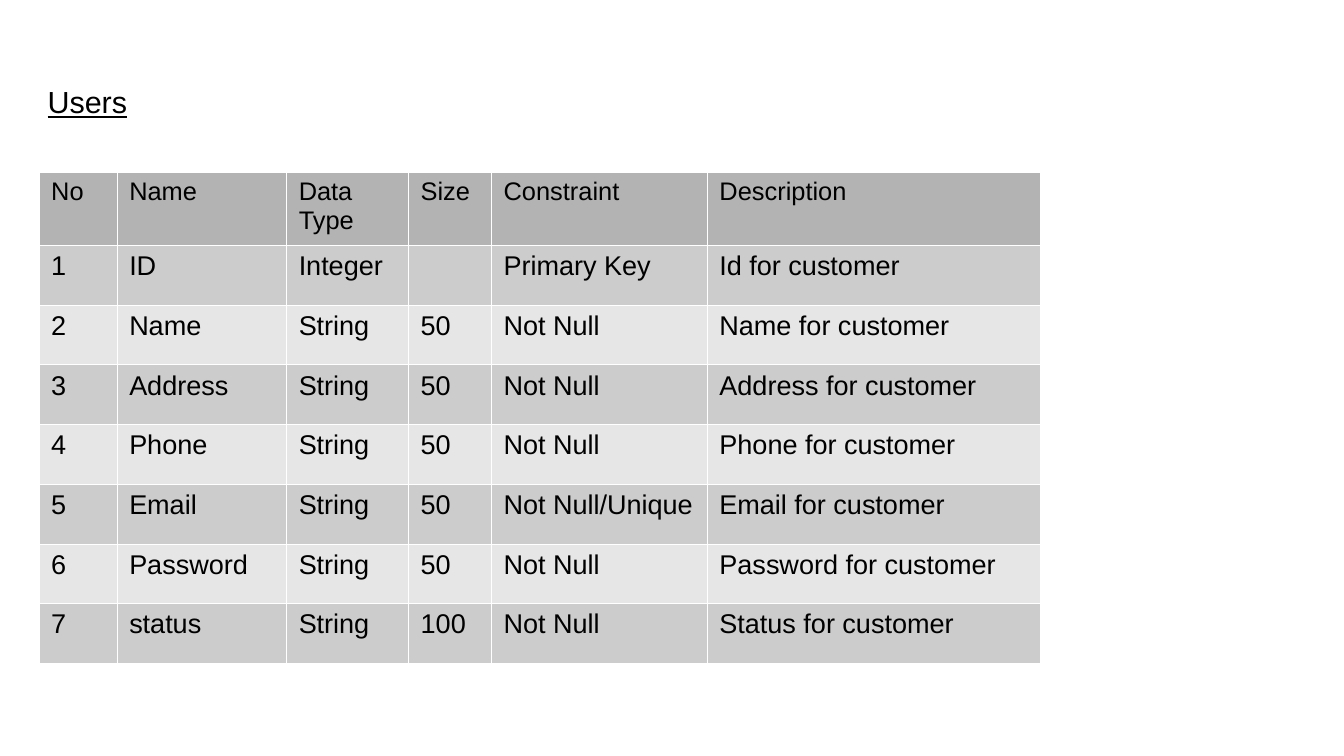
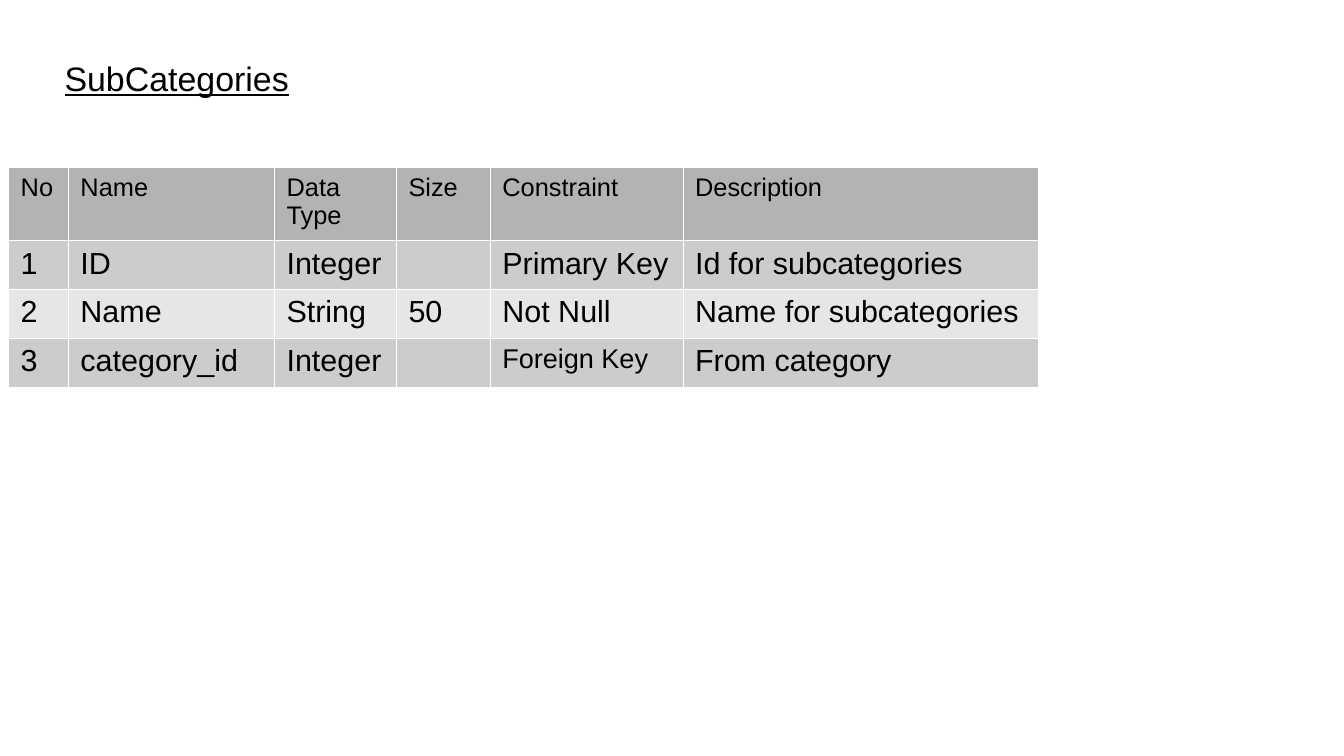
"""Build two slides that describe the Users and SubCategories database tables."""
from lxml import etree
from pptx import Presentation
from pptx.dml.color import RGBColor
from pptx.enum.text import MSO_ANCHOR as Anchor, PP_ALIGN as Align
from pptx.oxml.ns import qn
from pptx.util import Inches, Pt

FONT = "Arial"
INK, RULE = "000000", "FFFFFF"
HEADER_FILL, ODD_FILL, EVEN_FILL = "B3B3B3", "CCCCCC", "E6E6E6"
HEADER_SIZE, HEADER_HEIGHT = 15, 0.6
HEADINGS = ["No", "Name", "Data Type", "Size", "Constraint", "Description"]


def color(hex_value):
    return RGBColor.from_string(hex_value)


def add_text(paragraph, text, size, underline=False):
    run = paragraph.add_run()
    run.text = text
    run.font.name = FONT
    run.font.size = Pt(size)
    run.font.bold = False
    run.font.underline = underline
    run.font.color.rgb = color(INK)


users = {
    "title": "Users", "title_box": (0.39, 0.31, 1.5, 1.04),
    "title_size": 18, "align": Align.LEFT,
    "origin": (0.32, 1.41), "columns": [0.64, 1.39, 1, 0.68, 1.77, 2.73],
    "row_height": 0.49, "size": 16, "special_sizes": {},
    "fields": [
        ("ID", "Integer", "", "Primary Key", "Id for customer"),
        ("Name", "String", "50", "Not Null", "Name for customer"),
        ("Address", "String", "50", "Not Null", "Address for customer"),
        ("Phone", "String", "50", "Not Null", "Phone for customer"),
        ("Email", "String", "50", "Not Null/Unique", "Email for customer"),
        ("Password", "String", "50", "Not Null", "Password for customer"),
        ("status", "String", "100", "Not Null", "Status for customer"),
    ],
}
subcategories = {
    "title": "SubCategories", "title_box": (0.31, 0.24, 2.28, 0.79),
    "title_size": 20, "align": Align.CENTER,
    "origin": (0.07, 1.37), "columns": [0.49, 1.69, 1, 0.77, 1.58, 2.91],
    "row_height": 0.4, "size": 18, "special_sizes": {"Foreign Key": 16},
    "fields": [
        ("ID", "Integer", "", "Primary Key", "Id for subcategories"),
        ("Name", "String", "50", "Not Null", "Name for subcategories"),
        ("category_id", "Integer", "", "Foreign Key", "From category"),
    ],
}

deck = Presentation()
deck.slide_width, deck.slide_height = Inches(11.02), Inches(6.2)

for entity in (users, subcategories):
    slide = deck.slides.add_slide(deck.slide_layouts[6])

    title = slide.shapes.add_textbox(*map(Inches, entity["title_box"])).text_frame
    title.word_wrap = True
    title.vertical_anchor = Anchor.MIDDLE
    title.margin_left = title.margin_right = title.margin_top = title.margin_bottom = 0
    title.paragraphs[0].alignment = entity["align"]
    add_text(title.paragraphs[0], entity["title"], entity["title_size"], underline=True)

    rows = [HEADINGS] + [(str(number), *field) for number, field in enumerate(entity["fields"], 1)]
    heights = [HEADER_HEIGHT] + [entity["row_height"]] * len(entity["fields"])
    left, top = entity["origin"]
    schema = slide.shapes.add_table(
        len(rows), len(HEADINGS), Inches(left), Inches(top),
        Inches(sum(entity["columns"])), Inches(sum(heights))).table
    schema.horz_banding = False
    for column, width in zip(schema.columns, entity["columns"]):
        column.width = Inches(width)

    for row_index, (values, height) in enumerate(zip(rows, heights)):
        schema.rows[row_index].height = Inches(height)
        if row_index == 0:
            fill, size = HEADER_FILL, HEADER_SIZE
        else:
            fill, size = (ODD_FILL if row_index % 2 else EVEN_FILL), entity["size"]
        for column_index, value in enumerate(values):
            cell = schema.cell(row_index, column_index)
            cell.fill.solid()
            cell.fill.fore_color.rgb = color(fill)
            paragraph = cell.text_frame.paragraphs[0]
            if value:
                add_text(paragraph, value, entity["special_sizes"].get(value, size))
            else:
                paragraph.font.size = Pt(size)
            properties = cell._tc.get_or_add_tcPr()
            for position, side in enumerate(("lnL", "lnR", "lnT", "lnB")):
                border = etree.Element(qn(f"a:{side}"), w=str(Pt(0.06)))
                stroke = etree.SubElement(border, qn("a:solidFill"))
                etree.SubElement(stroke, qn("a:srgbClr"), val=RULE)
                properties.insert(position, border)

deck.save("out.pptx")
